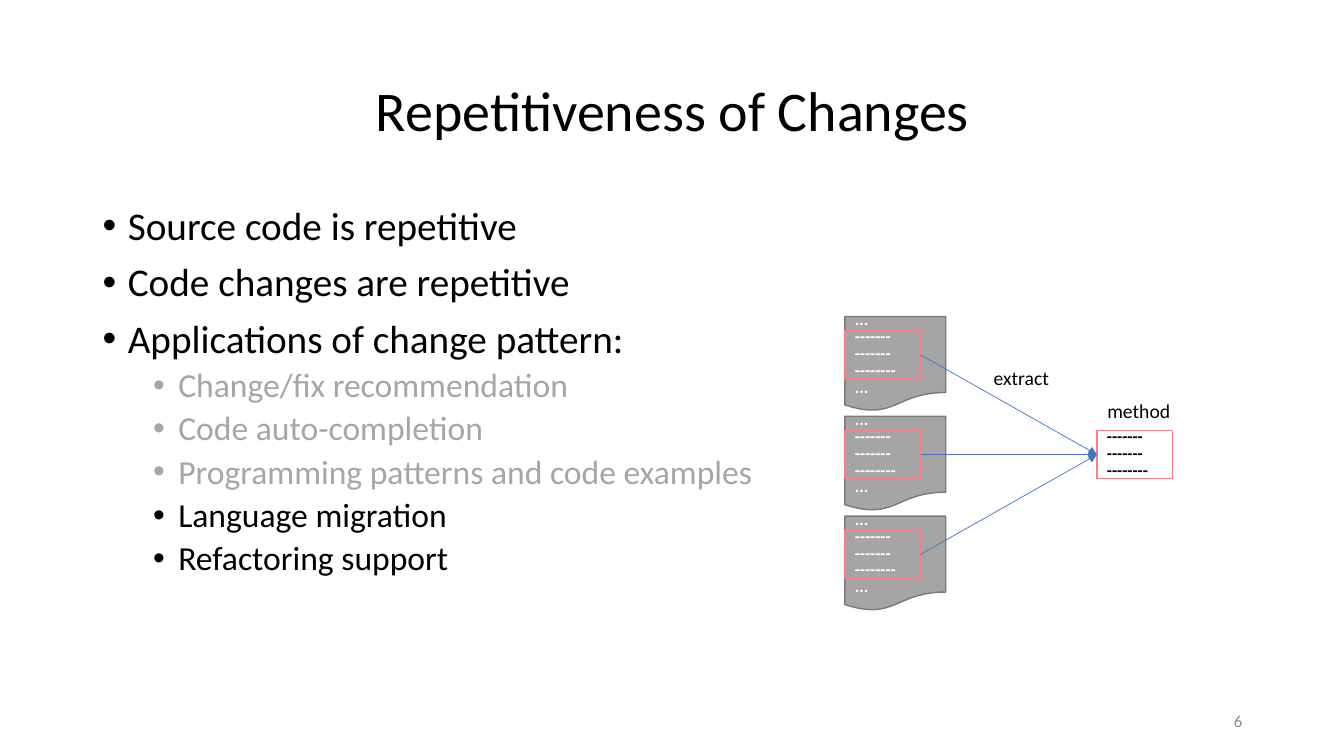
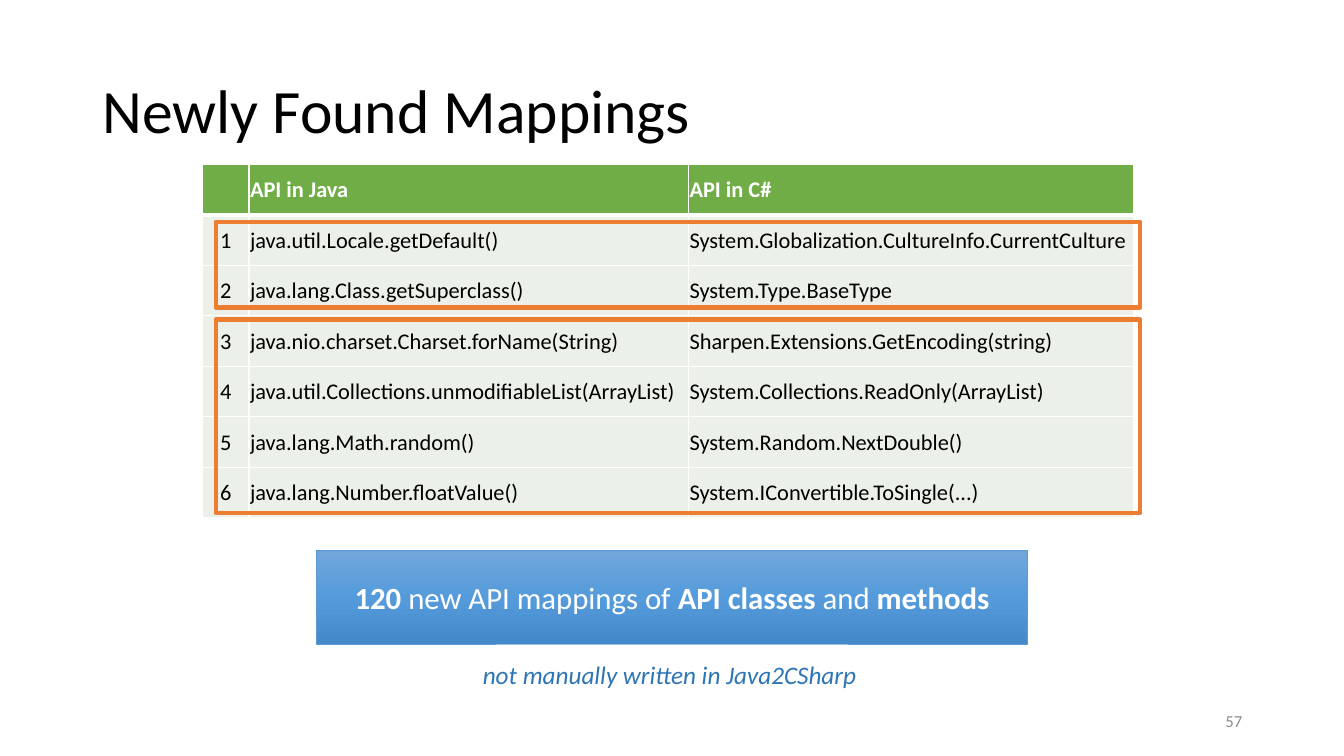
from copy import deepcopy
from dataclasses import dataclass

from lxml.etree import SubElement
from pptx import Presentation
from pptx.dml.color import RGBColor
from pptx.enum.shapes import MSO_CONNECTOR, MSO_SHAPE
from pptx.enum.text import MSO_ANCHOR, MSO_AUTO_SIZE, PP_ALIGN
from pptx.oxml.ns import qn
from pptx.util import Inches, Pt

FONT = "Calibri"
BLACK = RGBColor(0x00, 0x00, 0x00)
WHITE = RGBColor(0xFF, 0xFF, 0xFF)
FADED = RGBColor(0xA6, 0xA6, 0xA6)
NUMBER_GRAY = RGBColor(0x8C, 0x8C, 0x8C)
FILE_GRAY = RGBColor(0xA5, 0xA5, 0xA5)
FILE_EDGE = RGBColor(0x7A, 0x7A, 0x7A)
PINK = RGBColor(0xFF, 0x7C, 0x80)
ARROW_BLUE = RGBColor(0x44, 0x72, 0xC4)
GREEN = RGBColor(0x70, 0xAD, 0x47)
PALE_GREEN = RGBColor(0xEB, 0xF1, 0xE9)
ORANGE = RGBColor(0xED, 0x7D, 0x31)
BANNER_EDGE = RGBColor(0x5B, 0x9B, 0xD5)
NOTE_BLUE = RGBColor(0x2E, 0x75, 0xB6)
BANNER_STOPS = (
    (0, RGBColor(0x71, 0xA6, 0xDB)),
    (0.5, RGBColor(0x55, 0x9B, 0xDB)),
    (1, RGBColor(0x44, 0x8A, 0xCA)),
)


@dataclass(frozen=True)
class Box:
    left: float
    top: float
    width: float
    height: float

    def inches(self) -> tuple:
        return tuple(Inches(v) for v in (self.left, self.top, self.width, self.height))


@dataclass(frozen=True)
class Style:
    size: float
    color: RGBColor = BLACK
    bold: bool = False
    italic: bool = False


@dataclass(frozen=True)
class Bullet:
    text: str
    level: int = 0
    color: RGBColor = BLACK


TITLE = Box(0.92, 0.4, 11.5, 1.45)
BODY = Box(0.92, 2, 11.5, 4.76)
PAGE_NUMBER = Box(9.42, 6.95, 3, 0.4)

BULLETS = (
    Bullet("Source code is repetitive"),
    Bullet("Code changes are repetitive"),
    Bullet("Applications of change pattern:"),
    Bullet("Change/fix recommendation", 1, FADED),
    Bullet("Code auto-completion", 1, FADED),
    Bullet("Programming patterns and code examples", 1, FADED),
    Bullet("Language migration", 1),
    Bullet("Refactoring support", 1),
)
METHOD_CODE = "-------\n-------\n--------"
FILE_CODE = f"...\n{METHOD_CODE}\n..."

MAPPINGS = (
    ("", "API in Java", "API in C#"),
    ("1", "java.util.Locale.getDefault()", "System.Globalization.CultureInfo.CurrentCulture"),
    ("2", "java.lang.Class.getSuperclass()", "System.Type.BaseType"),
    ("3", "java.nio.charset.Charset.forName(String)", "Sharpen.Extensions.GetEncoding(string)"),
    ("4", "java.util.Collections.unmodifiableList(ArrayList)", "System.Collections.ReadOnly(ArrayList)"),
    ("5", "java.lang.Math.random()", "System.Random.NextDouble()"),
    ("6", "java.lang.Number.floatValue()", "System.IConvertible.ToSingle(...)"),
)


# Shared helpers
def format_run(run, style: Style) -> None:
    font = run.font
    font.name, font.size = FONT, Pt(style.size)
    font.bold, font.italic = style.bold, style.italic
    font.color.rgb = style.color


def set_text(frame, text: str, style: Style, align=PP_ALIGN.LEFT, spacing=None) -> None:
    frame.text = text
    for paragraph in frame.paragraphs:
        paragraph.alignment = align
        paragraph.line_spacing = spacing
        for run in paragraph.runs:
            format_run(run, style)


def add_text(slide, box: Box, text: str, style: Style, align=PP_ALIGN.LEFT,
             spacing=None, wrap: bool = True) -> None:
    frame = slide.shapes.add_textbox(*box.inches()).text_frame
    frame.word_wrap = wrap
    if wrap:
        frame.vertical_anchor = MSO_ANCHOR.MIDDLE
    else:
        frame.auto_size = MSO_AUTO_SIZE.SHAPE_TO_FIT_TEXT
    set_text(frame, text, style, align, spacing)


def add_panel(slide, kind, box: Box, edge: RGBColor, edge_width: float, fill=None):
    panel = slide.shapes.add_shape(kind, *box.inches())
    panel.shadow.inherit = False
    panel.line.color.rgb = edge
    panel.line.width = Pt(edge_width)
    if fill is None:
        panel.fill.background()
    else:
        panel.fill.solid()
        panel.fill.fore_color.rgb = fill
    panel.text_frame.vertical_anchor = MSO_ANCHOR.MIDDLE
    return panel


def add_arrow(slide, start: tuple[float, float], end: tuple[float, float]) -> None:
    points = [Inches(v) for v in (*start, *end)]
    arrow = slide.shapes.add_connector(MSO_CONNECTOR.STRAIGHT, *points)
    arrow.line.color.rgb = ARROW_BLUE
    arrow.line.width = Pt(0.5)
    properties = arrow._element.spPr
    SubElement(properties.find(qn("a:ln")), qn("a:tailEnd"), type="triangle")
    SubElement(properties, qn("a:effectLst"))


def add_slide(deck, title: str, size: float, align, number: int):
    slide = deck.slides.add_slide(deck.slide_layouts[6])
    add_text(slide, TITLE, title, Style(size), align, 0.9)
    add_text(slide, PAGE_NUMBER, str(number), Style(12, NUMBER_GRAY), PP_ALIGN.RIGHT)
    return slide


# Repetitiveness slide
def add_bullets(slide) -> None:
    frame = slide.shapes.add_textbox(*BODY.inches()).text_frame
    frame.word_wrap = True
    for index, bullet in enumerate(BULLETS):
        paragraph = frame.add_paragraph() if index else frame.paragraphs[0]
        paragraph.text = bullet.text
        paragraph.level = bullet.level
        paragraph.line_spacing = 0.9
        paragraph.space_before = Pt(5 if bullet.level else 10)
        format_run(paragraph.runs[0], Style(24 if bullet.level else 28, bullet.color))
        properties = paragraph._p.get_or_add_pPr()
        properties.set("marL", str(Inches(0.25 + 0.5 * bullet.level)))
        properties.set("indent", str(Inches(-0.25)))
        SubElement(properties, qn("a:buFont"), typeface="Arial")
        SubElement(properties, qn("a:buChar"), char="•")


def add_extraction_diagram(slide) -> None:
    files = [Box(8.38, 3.14 + 0.99 * i, 1, 0.94) for i in range(3)]
    excerpts = [Box(f.left, f.top + 0.14, 0.75, 0.48) for f in files]
    method = Box(10.88, 4.27, 0.75, 0.48)

    # Source files with the repeated excerpt outlined
    for file in files:
        panel = add_panel(slide, MSO_SHAPE.FLOWCHART_DOCUMENT, file, FILE_EDGE, 1, FILE_GRAY)
        set_text(panel.text_frame, FILE_CODE, Style(12, WHITE, True), spacing=Pt(12))
    for excerpt in excerpts:
        add_panel(slide, MSO_SHAPE.RECTANGLE, excerpt, PINK, 1)

    # Extracted method
    panel = add_panel(slide, MSO_SHAPE.RECTANGLE, method, PINK, 1)
    set_text(panel.text_frame, METHOD_CODE, Style(12, bold=True), spacing=Pt(12))
    for excerpt in excerpts:
        add_arrow(slide, (excerpt.left + excerpt.width, excerpt.top + excerpt.height / 2),
                  (method.left, method.top + method.height / 2))
    for label, box in (("method", Box(10.88, 3.91, 0.83, 0.34)),
                       ("extract", Box(9.75, 3.58, 0.76, 0.34))):
        add_text(slide, box, label, Style(14), PP_ALIGN.CENTER, wrap=False)


# Mappings slide
def set_borders(cell, widths: dict[str, float]) -> None:
    properties = cell._tc.get_or_add_tcPr()
    for side, width in widths.items():
        line = SubElement(properties, qn(f"a:ln{side}"), w=str(Pt(width)))
        SubElement(SubElement(line, qn("a:solidFill")), qn("a:srgbClr"), val=str(WHITE))


def add_mapping_table(slide) -> None:
    box = Box(2.01, 1.63, 9.23, 3.51)
    table = slide.shapes.add_table(len(MAPPINGS), 3, *box.inches()).table
    for column, width in zip(table.columns, (0.46, 4.36, 4.41)):
        column.width = Inches(width)
    for r, mapping in enumerate(MAPPINGS):
        header = r == 0
        for c, text in enumerate(mapping):
            cell = table.cell(r, c)
            set_borders(cell, {"L": 1, "R": 1, "T": 3 if r == 1 else 1, "B": 3 if header else 1})
            cell.fill.solid()
            cell.fill.fore_color.rgb = GREEN if header else PALE_GREEN
            cell.vertical_anchor = MSO_ANCHOR.MIDDLE
            cell.margin_left = cell.margin_right = cell.margin_top = Inches(0.01)
            cell.margin_bottom = 0
            set_text(cell.text_frame, text, Style(16, WHITE if header else BLACK, header),
                     PP_ALIGN.LEFT if c else PP_ALIGN.CENTER)


def add_banner(slide) -> None:
    banner = add_panel(slide, MSO_SHAPE.RECTANGLE, Box(3.14, 5.46, 7.05, 0.93), BANNER_EDGE, 0.5)
    banner.fill.gradient()
    banner.fill.gradient_angle = 270
    stop_list = banner._element.spPr.find(qn("a:gradFill")).find(qn("a:gsLst"))
    stop_list.append(deepcopy(stop_list[-1]))
    for stop, (position, color) in zip(banner.fill.gradient_stops, BANNER_STOPS):
        stop.position = position
        stop.color.rgb = color
    paragraph = banner.text_frame.paragraphs[0]
    paragraph.alignment = PP_ALIGN.CENTER
    phrases = ("120", " new API mappings of ", "API classes", " and ", "methods")
    for index, phrase in enumerate(phrases):
        run = paragraph.add_run()
        run.text = phrase
        format_run(run, Style(22, WHITE, bold=index % 2 == 0))


def main() -> None:
    deck = Presentation()
    deck.slide_width, deck.slide_height = Inches(13.33), Inches(7.5)

    repetitiveness = add_slide(deck, "Repetitiveness of Changes", 40, PP_ALIGN.CENTER, 6)
    add_bullets(repetitiveness)
    add_extraction_diagram(repetitiveness)

    mappings = add_slide(deck, "Newly Found Mappings", 44, PP_ALIGN.LEFT, 57)
    add_mapping_table(mappings)
    add_banner(mappings)
    add_text(mappings, Box(4.69, 6.49, 3.95, 0.4), "not manually written in Java2CSharp",
             Style(18, NOTE_BLUE, italic=True), wrap=False)
    for top, height in ((2.2, 0.85), (3.17, 1.92)):
        add_panel(mappings, MSO_SHAPE.RECTANGLE, Box(2.14, top, 9.17, height), ORANGE, 3)

    deck.save("out.pptx")


if __name__ == "__main__":
    main()
